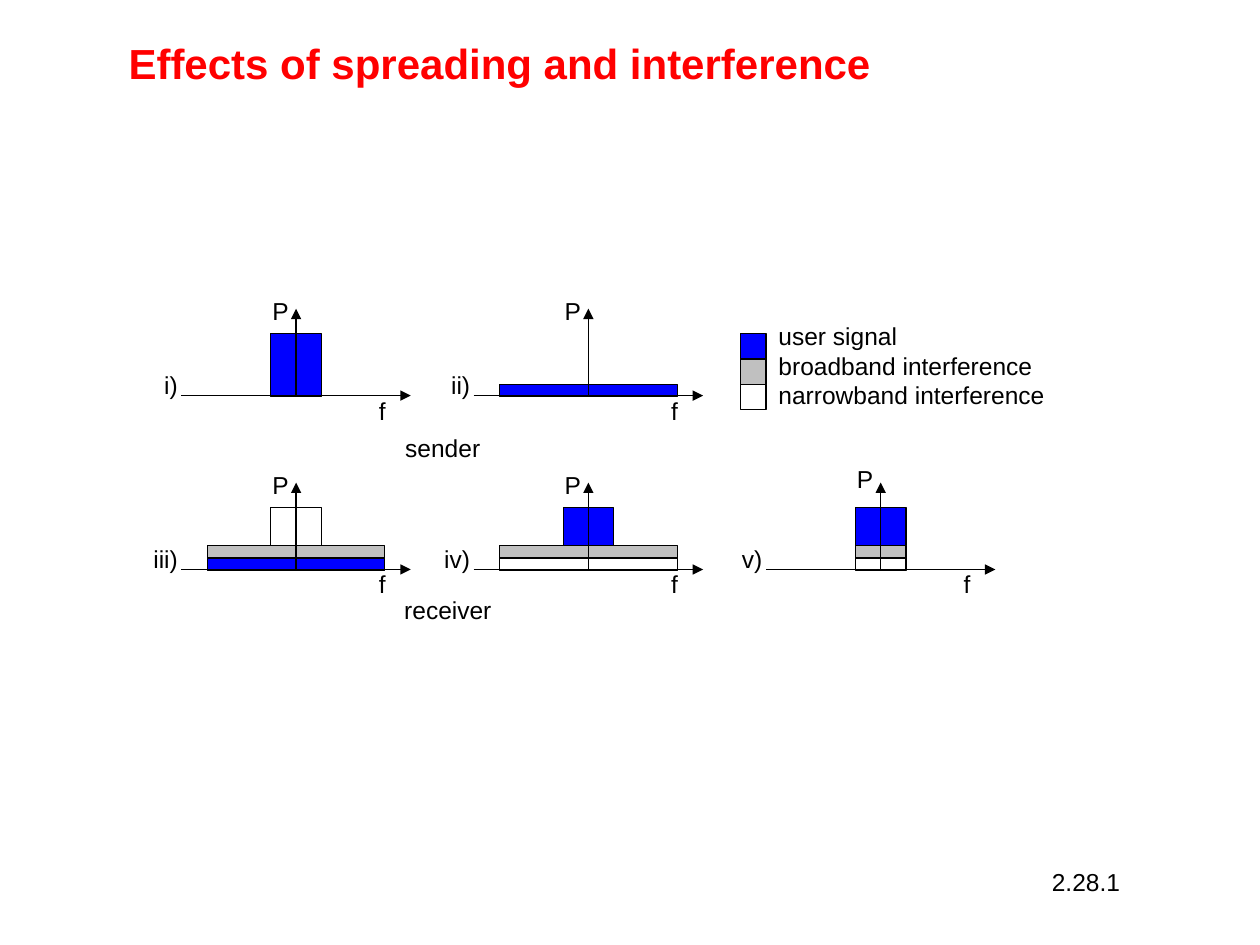
import dataclasses

import lxml.etree
import pptx
import pptx.dml.color
import pptx.enum.shapes
import pptx.enum.text
import pptx.oxml.ns
import pptx.util

Inches = pptx.util.Inches
Align = pptx.enum.text.PP_ALIGN
Anchor = pptx.enum.text.MSO_ANCHOR


@dataclasses.dataclass(frozen=True)
class Theme:
    font: str = "Arial"
    title: str = "FF0000"
    ink: str = "000000"
    user: str = "0000FF"
    broadband: str = "C0C0C0"
    narrowband: str = "FFFFFF"
    title_size: int = 24
    text_size: int = 14
    line_width: float = 0.75


THEME = Theme()
LABEL_HEIGHT = 0.34
WIDE, NARROW = 1.41, 0.4


def rgb(value):
    return pptx.dml.color.RGBColor.from_string(value)


def write_text(frame, text, size=THEME.text_size, color=THEME.ink, bold=False,
               align=Align.LEFT, anchor=Anchor.TOP):
    frame.vertical_anchor = anchor
    frame.text = text
    for para in frame.paragraphs:
        para.alignment = align
        for span in para.runs:
            span.font.name = THEME.font
            span.font.size = pptx.util.Pt(size)
            span.font.bold = bold
            span.font.color.rgb = rgb(color)


def add_label(page, text, left, top, width, height=LABEL_HEIGHT, align=Align.LEFT):
    box = page.shapes.add_textbox(Inches(left), Inches(top), Inches(width), Inches(height))
    frame = box.text_frame
    write_text(frame, text, align=align)
    frame.word_wrap = False
    frame.auto_size = pptx.enum.text.MSO_AUTO_SIZE.NONE
    if align == Align.RIGHT:
        frame.margin_left = Inches(0)
    else:
        frame.margin_right = Inches(0)


def add_block(page, left, top, width, height, color):
    block = page.shapes.add_shape(pptx.enum.shapes.MSO_SHAPE.RECTANGLE, Inches(left),
                                  Inches(top), Inches(width), Inches(height))
    block.shadow.inherit = False
    block.fill.solid()
    block.fill.fore_color.rgb = rgb(color)
    block.line.color.rgb = rgb(THEME.ink)
    block.line.width = pptx.util.Pt(THEME.line_width)


def add_arrow(page, start_x, start_y, end_x, end_y):
    arrow = page.shapes.add_connector(pptx.enum.shapes.MSO_CONNECTOR.STRAIGHT, Inches(start_x),
                                      Inches(start_y), Inches(end_x), Inches(end_y))
    arrow.line.color.rgb = rgb(THEME.ink)
    arrow.line.width = pptx.util.Pt(THEME.line_width)
    qn = pptx.oxml.ns.qn
    lxml.etree.SubElement(arrow.line._get_or_add_ln(), qn("a:tailEnd"), type="triangle")
    lxml.etree.SubElement(arrow._element.spPr, qn("a:effectLst"))


def place_title(page, left, top, width, height):
    title = page.shapes.title
    title.left, title.top = Inches(left), Inches(top)
    title.width, title.height = Inches(width), Inches(height)
    write_text(title.text_frame, "Effects of spreading and interference",
               size=THEME.title_size, color=THEME.title, bold=True, anchor=Anchor.MIDDLE)


def draw_spectrum(page, left, top, width, height, name, name_width, bands, power_lift=0):
    center, base = left + width / 2, top + height
    level = base + 0.01
    for color, band_width, band_height in bands:
        level -= band_height
        add_block(page, center - band_width / 2, level, band_width, band_height, color)
    add_arrow(page, left, base, left + width, base)
    add_arrow(page, center, base, center, top)
    add_label(page, "P", center - 0.29, top - 0.15 - power_lift, 0.33, align=Align.RIGHT)
    add_label(page, "f", left + width - 0.35, base - 0.05, 0.25, align=Align.RIGHT)
    add_label(page, name, left + 0.07 - name_width, base - 0.25, name_width, align=Align.RIGHT)


def draw_legend(page, left, top, width, height):
    entries = {"user signal": THEME.user,
               "broadband interference": THEME.broadband,
               "narrowband interference": THEME.narrowband}
    swatch = 0.2
    for index, color in enumerate(entries.values()):
        add_block(page, left, top + 0.15 + index * swatch, swatch, swatch, color)
    add_label(page, "\n".join(entries), left + swatch, top, width - swatch, height)


def draw_spectra(page, left, top, column_step, row_step):
    user_peak = (THEME.user, NARROW, 0.3)
    rows = [
        [("i)", 0.31, [(THEME.user, NARROW, 0.5)], 0),
         ("ii)", 0.35, [(THEME.user, WIDE, 0.1)], 0)],
        [("iii)", 0.39, [(THEME.user, WIDE, 0.1), (THEME.broadband, WIDE, 0.1),
                         (THEME.narrowband, NARROW, 0.3)], 0),
         ("iv)", 0.4, [(THEME.narrowband, WIDE, 0.1), (THEME.broadband, WIDE, 0.1),
                       user_peak], 0),
         ("v)", 0.36, [(THEME.narrowband, NARROW, 0.1), (THEME.broadband, NARROW, 0.1),
                       user_peak], 0.05)],
    ]
    for row, spectra in enumerate(rows):
        for column, spectrum in enumerate(spectra):
            draw_spectrum(page, left + column * column_step, top + row * row_step,
                          1.82, 0.69, *spectrum)


def main():
    deck = pptx.Presentation()
    deck.slide_width, deck.slide_height = Inches(10), Inches(7.5)
    page = deck.slides.add_slide(deck.slide_layouts[5])
    place_title(page, 0.92, 0.25, 8.5, 0.5)
    draw_spectra(page, 1.44, 2.45, 2.32, 1.38)
    add_label(page, "sender", 3.12, 3.39, 0.79, align=Align.RIGHT)
    add_label(page, "receiver", 3.11, 4.67, 0.89, align=Align.RIGHT)
    draw_legend(page, 5.88, 2.5, 2.51, 0.8)
    add_label(page, "2.28.1", 8.25, 6.83, 0.74)
    deck.save("out.pptx")


if __name__ == "__main__":
    main()
